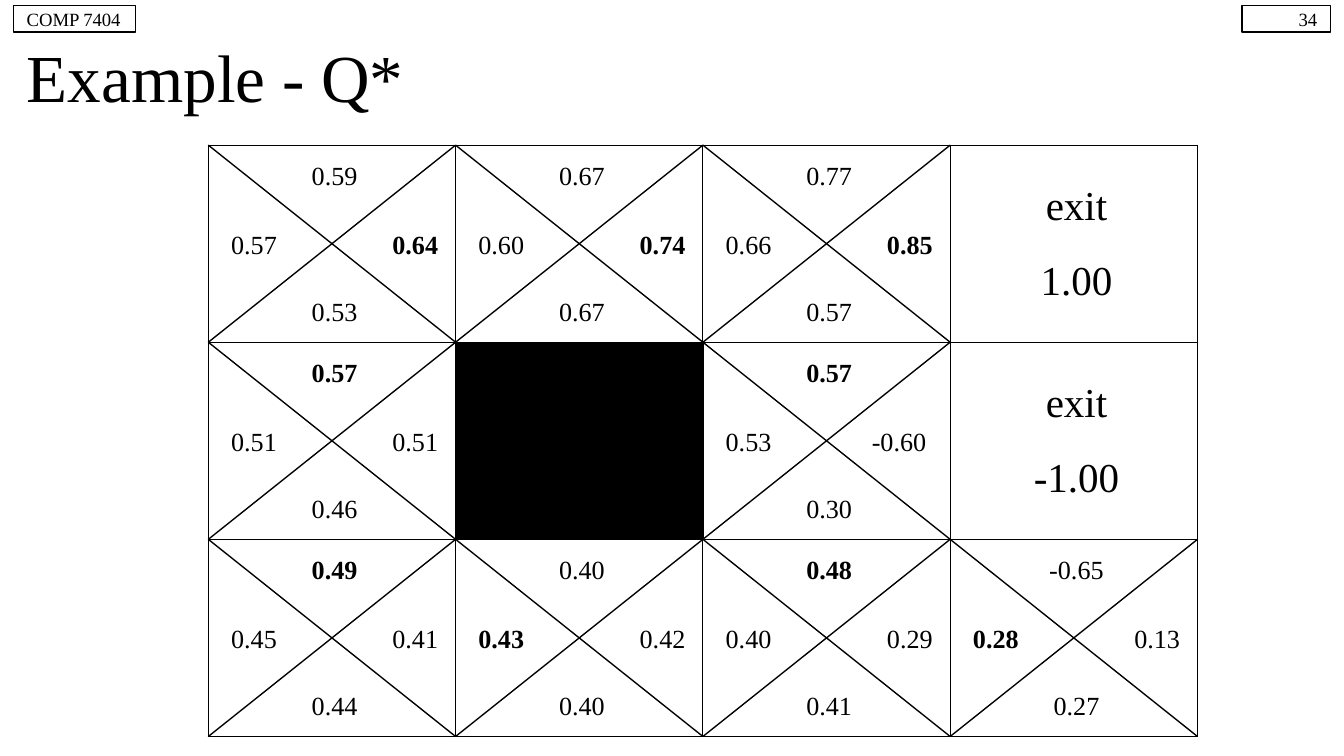
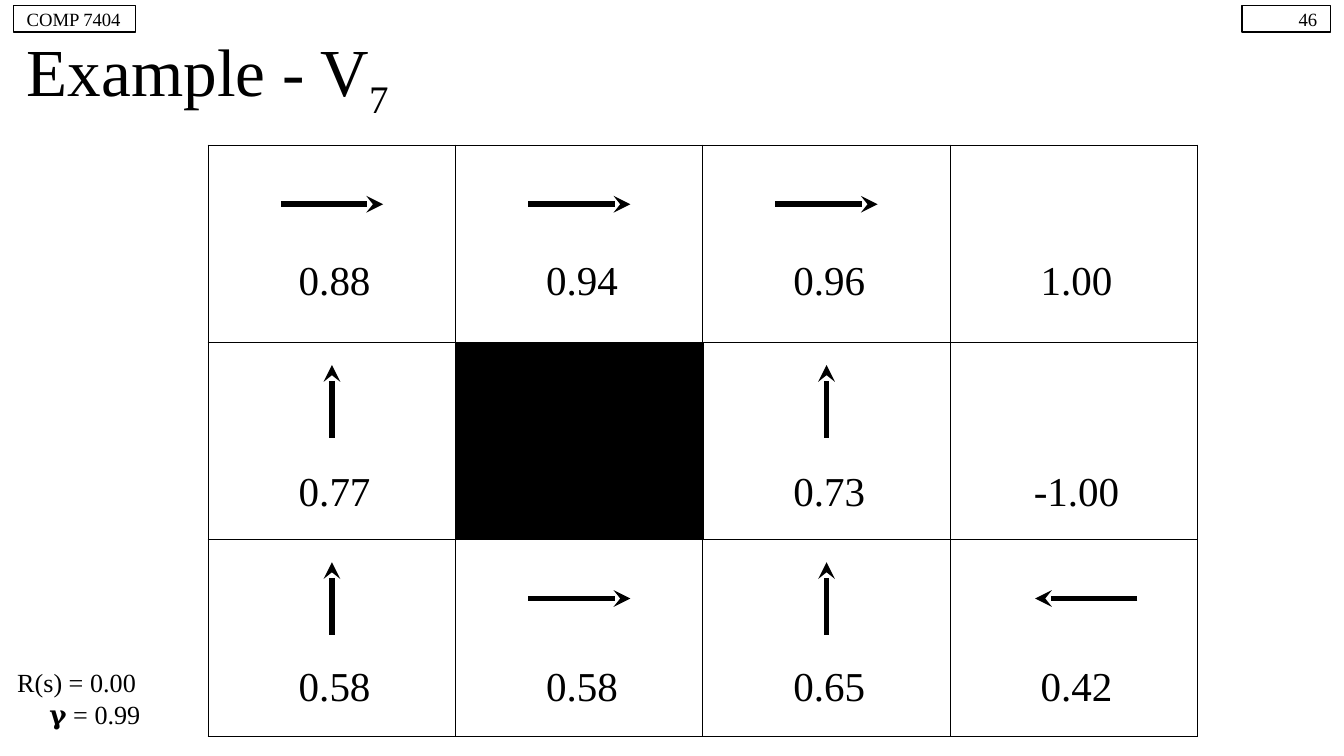
"""Build two grid-world slides: Q-values by action, and state values with the best moves."""
from dataclasses import dataclass

from lxml import etree
from pptx import Presentation
from pptx.dml.color import RGBColor
from pptx.enum.shapes import MSO_CONNECTOR, MSO_SHAPE
from pptx.enum.text import MSO_ANCHOR, MSO_AUTO_SIZE, PP_ALIGN
from pptx.oxml.ns import qn
from pptx.util import Inches, Pt

LEFT, CENTER, RIGHT = PP_ALIGN.LEFT, PP_ALIGN.CENTER, PP_ALIGN.RIGHT
TOP, MIDDLE = MSO_ANCHOR.TOP, MSO_ANCHOR.MIDDLE
RECTANGLE, STRAIGHT = MSO_SHAPE.RECTANGLE, MSO_CONNECTOR.STRAIGHT
NO_AUTOFIT = MSO_AUTO_SIZE.NONE


@dataclass(frozen=True)
class Theme:
    font: str = "Times New Roman"
    ink: RGBColor = RGBColor(0, 0, 0)
    title: int = 36
    state: int = 22
    action: int = 14
    header: int = 10
    thin: float = 0.75
    thick: int = 3
    inset: float = 0.1
    label_inset: float = 0.06
    label_indent: float = 0.04


THEME = Theme()
WIDTH, HEIGHT = 10, 10 * 9 / 16
MARGIN = WIDTH / 100
COLUMNS, ROWS = 4, 3
GRID_LEFT, GRID_TOP = 1.55, 1.08
COLUMN, ROW = 1.84, 4.4 / 3
LABEL_HEIGHT = 0.46
COLUMN_EDGES = [GRID_LEFT + index * COLUMN for index in range(COLUMNS + 1)]
ROW_EDGES = [GRID_TOP + index * ROW for index in range(ROWS + 1)]


def write_text(shape, runs, size, alignment, inset=THEME.inset, indent=0, bold=False, anchor=MIDDLE):
    """Append one paragraph to a shape; every run after the first is a subscript."""
    frame = shape.text_frame
    frame.word_wrap = True
    frame.auto_size = NO_AUTOFIT
    frame.vertical_anchor = anchor
    frame.margin_left = frame.margin_right = Inches(inset)
    frame.margin_top = frame.margin_bottom = Inches(inset)
    paragraph = frame.paragraphs[0]
    if paragraph.runs:
        paragraph = frame.add_paragraph()
    paragraph.alignment = alignment
    paragraph._p.get_or_add_pPr().set("marL", str(Inches(indent)))
    for index, text in enumerate(runs):
        run = paragraph.add_run()
        run.text = text
        run.font.name = THEME.font
        run.font.size = Pt(size)
        run.font.bold = bold
        run.font.color.rgb = THEME.ink
        if index:
            run.font._element.set("baseline", "-25000")


def add_line(slide, start, end, width, arrow=False):
    """Draw a straight line, with a stealth arrowhead at its end on request."""
    line = slide.shapes.add_connector(STRAIGHT, *map(Inches, start + end))
    line.line.color.rgb = THEME.ink
    line.line.width = Pt(width)
    if arrow:
        etree.SubElement(line.line._get_or_add_ln(), qn("a:tailEnd"), type="stealth")
    etree.SubElement(line._element.spPr, qn("a:effectLst"))


presentation = Presentation()
presentation.slide_width, presentation.slide_height = Inches(WIDTH), Inches(HEIGHT)
slides = []

for title_runs, number in ((["Example - Q*"], "34"), (["Example - V", "7"], "46")):
    slide = presentation.slides.add_slide(presentation.slide_layouts[5])
    slides.append(slide)
    title = slide.shapes.title
    title.left, title.top = Inches(MARGIN), Inches(HEIGHT * 0.05)
    title.width, title.height = Inches(WIDTH - 2 * MARGIN), Inches(HEIGHT * 0.1)
    write_text(title, title_runs, THEME.title, LEFT)

    for text, left, width, alignment in (
        (number, WIDTH - MARGIN - 0.66, 0.66, RIGHT),
        ("COMP 7404", MARGIN, 0.91, LEFT),
    ):
        header = slide.shapes.add_shape(RECTANGLE, Inches(left), Inches(0.04), Inches(width), Inches(0.2))
        header.shadow.inherit = False
        header.fill.background()
        header.line.color.rgb = THEME.ink
        header.line.width = Pt(THEME.thin)
        write_text(header, [text], THEME.header, alignment)

    grid = slide.shapes.add_table(
        ROWS, COLUMNS, Inches(GRID_LEFT), Inches(GRID_TOP), Inches(COLUMNS * COLUMN), Inches(ROWS * ROW)
    ).table
    grid.first_row = grid.horz_banding = False
    for cell in grid.iter_cells():
        properties = cell._tc.get_or_add_tcPr()
        for side in ("lnL", "lnR", "lnT", "lnB"):
            border = etree.SubElement(properties, qn(f"a:{side}"), w=str(Pt(THEME.thin)))
            fill = etree.SubElement(border, qn("a:solidFill"))
            etree.SubElement(fill, qn("a:srgbClr"), val=str(THEME.ink))
        cell.fill.background()

    wall = slide.shapes.add_shape(
        RECTANGLE, Inches(COLUMN_EDGES[1]), Inches(ROW_EDGES[1]), Inches(COLUMN), Inches(ROW)
    )
    wall.shadow.inherit = False
    wall.fill.solid()
    wall.fill.fore_color.rgb = wall.line.color.rgb = THEME.ink
    wall.line.width = Pt(THEME.thin)

action_slide, state_slide = slides

ACTION_PLACES = ((0.5, 0.15), (0, 0.5), (1, 0.5), (0.5, 0.84))
ACTION_VALUES = {
    (0, 0): ("0.59", "0.57", "0.64", "0.53"),
    (0, 1): ("0.67", "0.60", "0.74", "0.67"),
    (0, 2): ("0.77", "0.66", "0.85", "0.57"),
    (1, 0): ("0.57", "0.51", "0.51", "0.46"),
    (1, 2): ("0.57", "0.53", "-0.60", "0.30"),
    (2, 0): ("0.49", "0.45", "0.41", "0.44"),
    (2, 1): ("0.40", "0.43", "0.42", "0.40"),
    (2, 2): ("0.48", "0.40", "0.29", "0.41"),
    (2, 3): ("-0.65", "0.28", "0.13", "0.27"),
}
EXITS = {(0, 3): "1.00", (1, 3): "-1.00"}
EXIT_SHARES = (0.3, 0.68)
labels = []

for (row, column), values in ACTION_VALUES.items():
    left, right = COLUMN_EDGES[column:column + 2]
    top, bottom = ROW_EDGES[row:row + 2]
    add_line(action_slide, (left, top), (right, bottom), THEME.thin)
    add_line(action_slide, (right, top), (left, bottom), THEME.thin)
    best = max(values, key=float)
    for text, (across, down) in zip(values, ACTION_PLACES):
        width = 0.16 * len(text)
        label_left = left + across * (COLUMN - width)
        labels.append((action_slide, text, label_left, top + down * ROW, width, THEME.action, text == best))

for (row, column), reward in EXITS.items():
    for text, down in zip(("exit", reward), EXIT_SHARES):
        middle = ROW_EDGES[row] + down * ROW
        labels.append((action_slide, text, COLUMN_EDGES[column], middle, COLUMN, THEME.state, False))

STATE_VALUES = (
    ("0.88", "0.94", "0.96", "1.00"),
    ("0.77", None, "0.73", "-1.00"),
    ("0.58", "0.58", "0.65", "0.42"),
)
STATE_SHARES = (0.68, 0.75, 0.74)
MOVES = ("→→→ ", "↑ ↑ ", "↑→↑←")
ARROWS = {"→": (0.5, 0.38, 0), "↑": (0.5, 0, -0.27), "←": (0.55, -0.38, 0)}
ARROW_SHARE = 0.3

for row, values in enumerate(STATE_VALUES):
    for column, text in enumerate(values):
        left, top = COLUMN_EDGES[column], ROW_EDGES[row]
        if text:
            middle = top + STATE_SHARES[row] * ROW
            labels.append((state_slide, text, left, middle, COLUMN, THEME.state, False))
        move = MOVES[row][column]
        if move in ARROWS:
            across, reach_x, reach_y = ARROWS[move]
            x, y = left + across * COLUMN, top + ARROW_SHARE * ROW
            start, end = (x - reach_x, y - reach_y), (x + reach_x, y + reach_y)
            add_line(state_slide, start, end, THEME.thick, arrow=True)

for slide, text, left, middle, width, size, bold in labels:
    label = slide.shapes.add_textbox(
        Inches(left), Inches(middle - LABEL_HEIGHT / 2), Inches(width), Inches(LABEL_HEIGHT)
    )
    write_text(label, [text], size, CENTER, THEME.label_inset, THEME.label_indent, bold)

parameters = state_slide.shapes.add_textbox(Inches(0.03), Inches(4.86), Inches(1.24), Inches(0.71))
for text, indent in (("R(s) = 0.00", 0), ("𝛄 = 0.99", 0.24)):
    write_text(parameters, [text], THEME.action, LEFT, indent=indent, anchor=TOP)

presentation.save("out.pptx")
